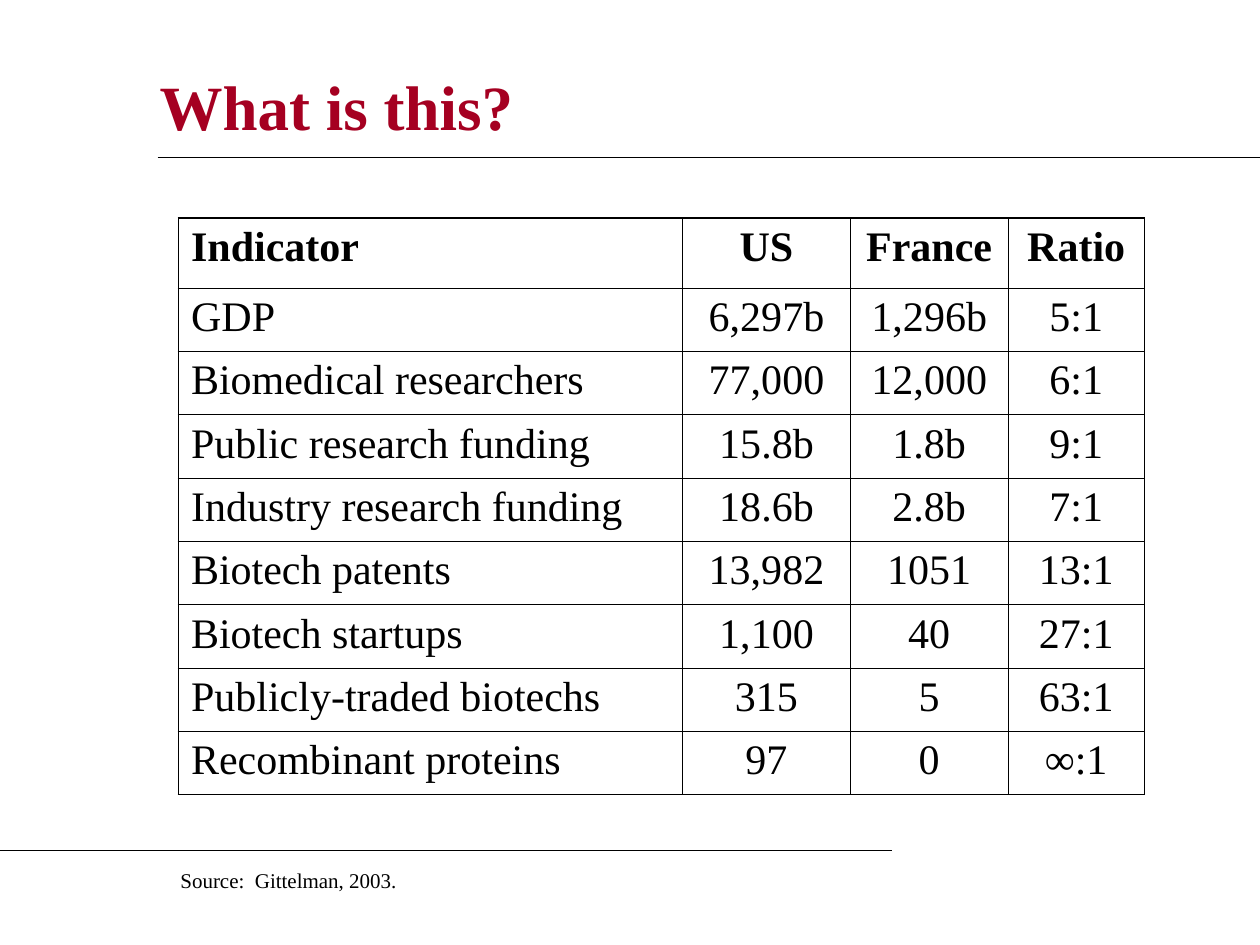
import pptx
import pptx.dml.color
import pptx.enum.shapes
import pptx.enum.text
import pptx.oxml
import pptx.oxml.ns
import pptx.util

Pt = pptx.util.Pt
Color = pptx.dml.color.RGBColor
Align = pptx.enum.text.PP_ALIGN
Anchor = pptx.enum.text.MSO_ANCHOR

RED = Color(0xA5, 0x00, 0x21)
BLACK = Color(0, 0, 0)
FACE = "Times New Roman"
THIN, THICK = 0.45, 1.08

ROWS = [
    ("Indicator", "US", "France", "Ratio"),
    ("GDP", "6,297b", "1,296b", "5:1"),
    ("Biomedical researchers", "77,000", "12,000", "6:1"),
    ("Public research funding", "15.8b", "1.8b", "9:1"),
    ("Industry research funding", "18.6b", "2.8b", "7:1"),
    ("Biotech patents", "13,982", "1051", "13:1"),
    ("Biotech startups", "1,100", "40", "27:1"),
    ("Publicly-traded biotechs", "315", "5", "63:1"),
    ("Recombinant proteins", "97", "0", "∞:1"),
]
WIDTHS = [288, 96, 90, 78]
HEAD, ROW = 40, 36.2


def style(frame, size, color, bold, align):
    para = frame.paragraphs[0]
    para.alignment = align
    font = para.runs[0].font
    font.name, font.size, font.bold = FACE, Pt(size), bold
    font.color.rgb = color


def border(cell, side, width):
    line = pptx.oxml.parse_xml(
        f'<a:ln{side} {pptx.oxml.ns.nsdecls("a")} w="{Pt(width)}">'
        f'<a:solidFill><a:srgbClr val="{BLACK}"/></a:solidFill></a:ln{side}>')
    cell._tc.get_or_add_tcPr().append(line)


deck = pptx.Presentation()
deck.slide_width, deck.slide_height = Pt(720), Pt(540)
slide = deck.slides.add_slide(deck.slide_layouts[5])
shapes = slide.shapes

title = shapes.title
title.left, title.top, title.width, title.height = Pt(84), Pt(30), Pt(573), Pt(60)
title.text_frame.text = "What is this?"
title.text_frame.vertical_anchor = Anchor.MIDDLE
style(title.text_frame, 36, RED, True, Align.LEFT)

# Rules under the title and above the source
for start, end, y in [(90, 720, 90), (0, 510, 486)]:
    rule = shapes.add_connector(
        pptx.enum.shapes.MSO_CONNECTOR.STRAIGHT, Pt(start), Pt(y), Pt(end), Pt(y))
    rule.line.color.rgb = BLACK
    rule.line.width = Pt(0.75)
    rule._element.spPr.append(
        pptx.oxml.parse_xml(f'<a:effectLst {pptx.oxml.ns.nsdecls("a")}/>'))

# Table of indicators
last, end = len(ROWS) - 1, len(WIDTHS) - 1
table = shapes.add_table(
    len(ROWS), len(WIDTHS), Pt(102), Pt(124.5),
    Pt(sum(WIDTHS)), Pt(HEAD + last * ROW)).table
table.first_row = table.horz_banding = False
for col, width in zip(table.columns, WIDTHS):
    col.width = Pt(width)
for r, row in enumerate(ROWS):
    table.rows[r].height = Pt(ROW if r else HEAD)
    for c, text in enumerate(row):
        cell = table.cell(r, c)
        cell.text_frame.text = text
        style(cell.text_frame, 24, BLACK, r == 0, Align.CENTER if c else Align.LEFT)
        edges = {"L": c == 0, "R": c == end, "T": r == 0, "B": r == last}
        for side, outer in edges.items():
            border(cell, side, THICK if outer else THIN)
        cell.fill.background()

source = shapes.add_textbox(Pt(96), Pt(492), Pt(372), Pt(21.5))
source.text_frame.word_wrap = True
source.text_frame.auto_size = pptx.enum.text.MSO_AUTO_SIZE.SHAPE_TO_FIT_TEXT
source.text_frame.text = "Source:  Gittelman, 2003."
style(source.text_frame, 12, BLACK, False, Align.LEFT)

deck.save("out.pptx")
